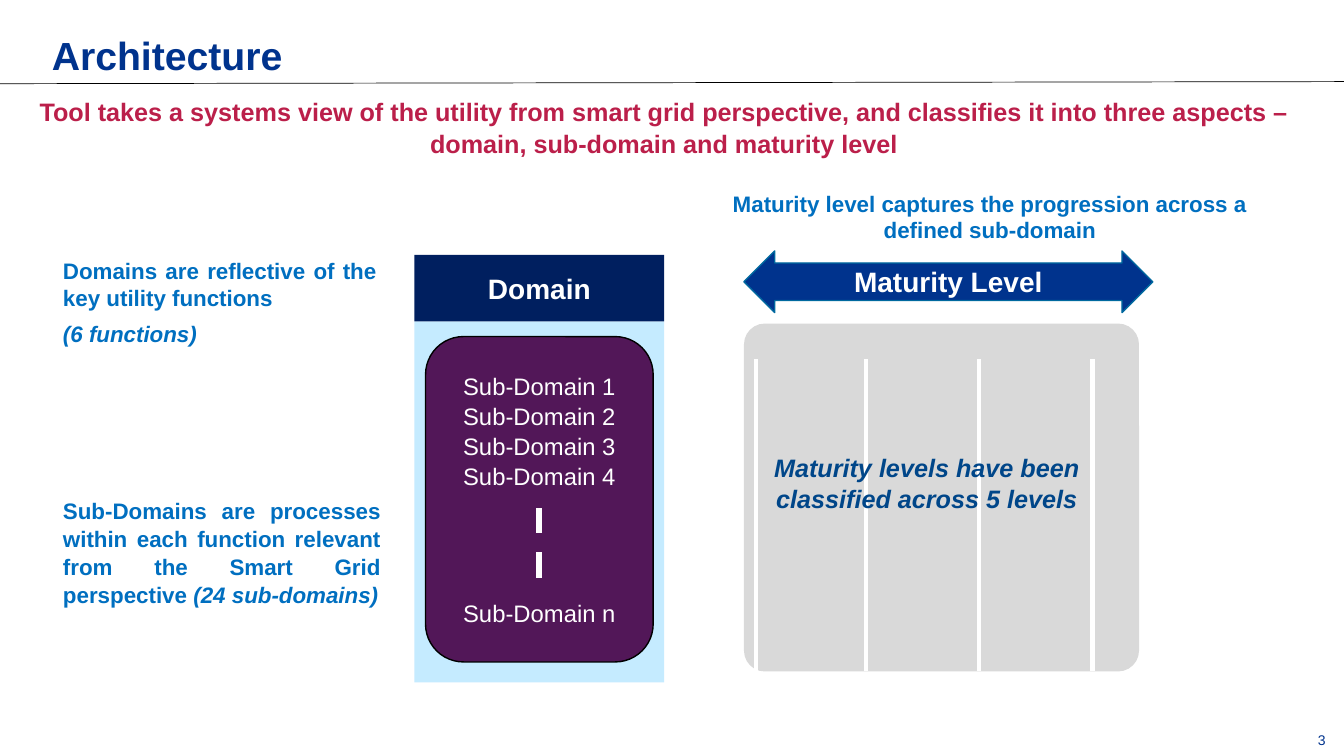
"""Build the Architecture slide: domains, sub-domains and maturity levels."""
from lxml import etree
from pptx import Presentation
from pptx import util as u
from pptx.dml.color import RGBColor
from pptx.enum import dml, shapes, text
from pptx.oxml import ns

FONT = "Arial"
WHITE = RGBColor(0xFF, 0xFF, 0xFF)
BLACK = RGBColor(0, 0, 0)
ROYAL = RGBColor(0x00, 0x33, 0x8D)
CRIMSON = RGBColor(0xBB, 0x1F, 0x4A)
BLUE = RGBColor(0x00, 0x6F, 0xC0)
NAVY = RGBColor(0x00, 0x1F, 0x5F)
PALE_BLUE = RGBColor(0xC5, 0xEB, 0xFF)
PURPLE = RGBColor(0x52, 0x17, 0x58)
GREY = RGBColor(0xD9, 0xD9, 0xD9)
TEAL = RGBColor(0x00, 0x69, 0x9F)
STEEL = RGBColor(0x00, 0x46, 0x89)

LEFT = text.PP_ALIGN.LEFT
CENTER = text.PP_ALIGN.CENTER
JUSTIFY = text.PP_ALIGN.JUSTIFY
RECT = shapes.MSO_SHAPE.RECTANGLE
ROUNDED = shapes.MSO_SHAPE.ROUNDED_RECTANGLE
ARROW = shapes.MSO_SHAPE.LEFT_RIGHT_ARROW

WIDTH, HEIGHT = 960, 540
DOMAIN_LEFT, DOMAIN_WIDTH = 296, 178.5
DOMAIN_CENTER = DOMAIN_LEFT + DOMAIN_WIDTH / 2
MATURITY_LEFT = 531.4
DIVIDER_XS = (540, 618.8, 699.2, 780.4)
DIVIDER_TOP, DIVIDER_BOTTOM = 256.3, 479.6

PANELS = [
    (RECT, (DOMAIN_LEFT, 229.5, DOMAIN_WIDTH, 258), PALE_BLUE, None, (), ""),
    (RECT, (DOMAIN_LEFT, 182, DOMAIN_WIDTH, 47.5), NAVY, None, (), "Domain"),
    (ROUNDED, (304, 240.4, 162.6, 232.4), PURPLE, BLACK, (0.167,), ""),
    (ROUNDED, (MATURITY_LEFT, 231.1, 282.2, 248.5), GREY, None, (0.06,), ""),
    (ARROW, (MATURITY_LEFT, 179.3, 292, 44), ROYAL, TEAL, (0.61, 0.5), "Maturity Level"),
]

TEXTS = [
    ((37, 22.5, 860, 36), [["Architecture"]], dict(size=28, color=ROYAL, bold=True)),
    ((27.5, 67, 893.5, 48),
     [["Tool takes a systems view of the utility from smart grid perspective, "
       "and classifies it into three aspects – domain, sub-domain and maturity level"]],
     dict(size=18, color=CRIMSON, bold=True, align=CENTER, spacing=1.07)),
    ((517, 135.5, 380, 40),
     [["Maturity level captures the progression across a defined sub-domain"]],
     dict(size=16, color=BLUE, bold=True, align=CENTER)),
    ((45, 184, 224, 66),
     [["Domains are reflective of the key utility functions"], ["", "(6 functions)"]],
     dict(size=16, color=BLUE, bold=True, align=JUSTIFY, gap=6)),
    ((45, 354, 227, 80),
     [["Sub-Domains are processes within each function relevant from the "
       "Smart Grid perspective ", "(24 sub-domains)"]],
     dict(size=16, color=BLUE, bold=True, align=JUSTIFY, spacing=1.05)),
    ((330.8, 264.5, 120, 84),
     [[f"Sub-Domain {number}"] for number in range(1, 5)],
     dict(size=17, color=WHITE, spacing=1.05)),
    ((330.8, 428, 120, 22), [["Sub-Domain n"]], dict(size=17, color=WHITE)),
    ((547, 322.5, 230, 46), [["", "Maturity levels have been classified across 5 levels"]],
     dict(size=18, color=STEEL, bold=True, align=CENTER, spacing=1.03)),
    ((941.4, 522.7, 16, 13), [["3"]], dict(size=10, color=ROYAL)),
]


def write_text(frame, paragraphs, size, color, bold=False, align=LEFT, spacing=1.0, gap=0):
    """Fill a frame; the second part of each paragraph is italic."""
    frame.word_wrap = True
    frame.margin_left = frame.margin_top = frame.margin_right = frame.margin_bottom = 0
    for index, parts in enumerate(paragraphs):
        para = frame.paragraphs[0] if index == 0 else frame.add_paragraph()
        para.alignment = align
        para.line_spacing = spacing
        para.space_before = u.Pt(gap if index else 0)
        for position, part in enumerate(parts):
            if not part:
                continue
            span = para.add_run()
            span.text = part
            span.font.name = FONT
            span.font.size = u.Pt(size)
            span.font.bold = bold
            span.font.italic = position == 1
            span.font.color.rgb = color


def add_panel(page, kind, bounds, fill, outline, adjustments, label):
    """Draw a filled shape with an optional outline and centred label."""
    panel = page.shapes.add_shape(kind, *map(u.Pt, bounds))
    panel.shadow.inherit = False
    panel.fill.solid()
    panel.fill.fore_color.rgb = fill
    if outline is None:
        panel.line.fill.background()
    else:
        panel.line.color.rgb = outline
        panel.line.width = u.Pt(1)
    for index, value in enumerate(adjustments):
        panel.adjustments[index] = value
    if label:
        write_text(panel.text_frame, [[label]], size=20, color=WHITE, bold=True, align=CENTER)
        panel.text_frame.vertical_anchor = text.MSO_ANCHOR.MIDDLE


def add_line(page, ends, color, width, dash=None):
    """Draw a straight line between two points."""
    line = page.shapes.add_connector(shapes.MSO_CONNECTOR.STRAIGHT, *map(u.Pt, ends))
    line.line.color.rgb = color
    line.line.width = u.Pt(width)
    if dash is not None:
        line.line.dash_style = dash
    etree.SubElement(line._element.spPr, ns.qn("a:effectLst"))


def main():
    """Assemble and save the slide."""
    deck = Presentation()
    deck.slide_width, deck.slide_height = u.Pt(WIDTH), u.Pt(HEIGHT)
    page = deck.slides.add_slide(deck.slide_layouts[6])
    add_line(page, (0, 59.8, WIDTH, 58.3), BLACK, 0.5)
    for panel in PANELS:
        add_panel(page, *panel)
    add_line(page, (DOMAIN_CENTER, 363, DOMAIN_CENTER, 420.5), WHITE, 4.5,
             dml.MSO_LINE.DASH)
    for x in DIVIDER_XS:
        add_line(page, (x, DIVIDER_TOP, x, DIVIDER_BOTTOM), WHITE, 3)
    for bounds, paragraphs, style in TEXTS:
        box = page.shapes.add_textbox(*map(u.Pt, bounds))
        write_text(box.text_frame, paragraphs, **style)
    deck.save("out.pptx")


if __name__ == "__main__":
    main()
